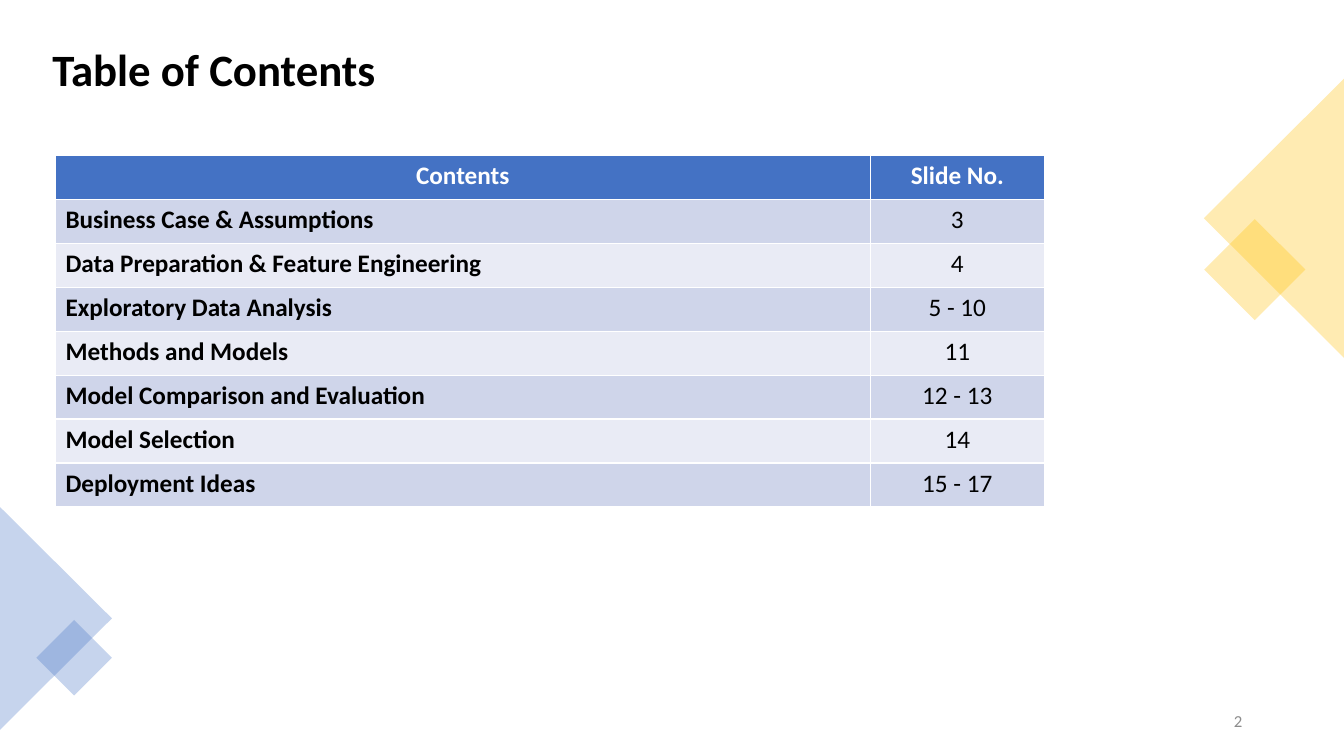
from lxml.etree import SubElement
from pptx import Presentation
from pptx.dml.color import RGBColor
from pptx.enum.shapes import MSO_SHAPE
from pptx.enum.text import MSO_ANCHOR, PP_ALIGN
from pptx.oxml.ns import qn
from pptx.util import Inches, Pt

BLACK = RGBColor(0x00, 0x00, 0x00)
WHITE = RGBColor(0xFF, 0xFF, 0xFF)
GRAY = RGBColor(0x8C, 0x8C, 0x8C)
BLUE = RGBColor(0x44, 0x72, 0xC4)
GOLD = RGBColor(0xFF, 0xC0, 0x00)
BANDS = [RGBColor(0xE9, 0xEB, 0xF5), RGBColor(0xCF, 0xD5, 0xEA)]


def style(frame, size, color, bold, align):
    para = frame.paragraphs[0]
    para.alignment = align
    font = para.runs[0].font
    font.name = "Calibri"
    font.size = Pt(size)
    font.bold = bold
    font.color.rgb = color


def label(text, box, size, color, bold, align):
    frame = slide.shapes.add_textbox(*map(Inches, box)).text_frame
    frame.word_wrap = True
    frame.vertical_anchor = MSO_ANCHOR.MIDDLE
    frame.text = text
    style(frame, size, color, bold, align)


deck = Presentation()
deck.slide_width = Inches(13.33)
deck.slide_height = Inches(7.5)
slide = deck.slides.add_slide(deck.slide_layouts[6])

label("Table of Contents", (0.42, 0.31, 12.02, 0.75), 32, BLACK, True, PP_ALIGN.LEFT)

diamond, wedge = MSO_SHAPE.RECTANGLE, MSO_SHAPE.ISOSCELES_TRIANGLE
decor = [
    (diamond, (12.09, 2.32, 0.71, 0.71), 45, GOLD),
    (wedge, (11.25, 1.47, 2.77, 1.39), 270, GOLD),
    (wedge, (-0.55, 5.58, 2.21, 1.11), 90, BLUE),
    (diamond, (0.47, 6.26, 0.53, 0.53), 45, BLUE),
]
for kind, box, angle, color in decor:
    shape = slide.shapes.add_shape(kind, *map(Inches, box))
    shape.rotation = angle
    shape.shadow.inherit = False
    shape.line.fill.background()
    shape.fill.solid()
    shape.fill.fore_color.rgb = color
    tint = shape.fill._xPr.find(qn("a:solidFill"))[0]
    SubElement(tint, qn("a:alpha"), val="30000")

rows = [
    ("Contents", "Slide No."),
    ("Business Case & Assumptions", "3"),
    ("Data Preparation & Feature Engineering", "4"),
    ("Exploratory Data Analysis", "5 - 10"),
    ("Methods and Models", "11"),
    ("Model Comparison and Evaluation", "12 - 13"),
    ("Model Selection", "14"),
    ("Deployment Ideas", "15 - 17"),
]
widths = (8.08, 1.73)
place = map(Inches, (0.55, 1.54, sum(widths), 3.49))
table = slide.shapes.add_table(len(rows), len(widths), *place).table
for col, width in zip(table.columns, widths):
    col.width = Inches(width)
for r, row in enumerate(rows):
    head = r == 0
    for c, text in enumerate(row):
        cell = table.cell(r, c)
        cell.fill.solid()
        cell.fill.fore_color.rgb = BLUE if head else BANDS[r % 2]
        cell.text_frame.text = text
        align = PP_ALIGN.CENTER if head or c else PP_ALIGN.LEFT
        style(cell.text_frame, 18, WHITE if head else BLACK, head or c == 0, align)

label("2", (9.42, 6.95, 3, 0.4), 12, GRAY, False, PP_ALIGN.RIGHT)

deck.save("out.pptx")
